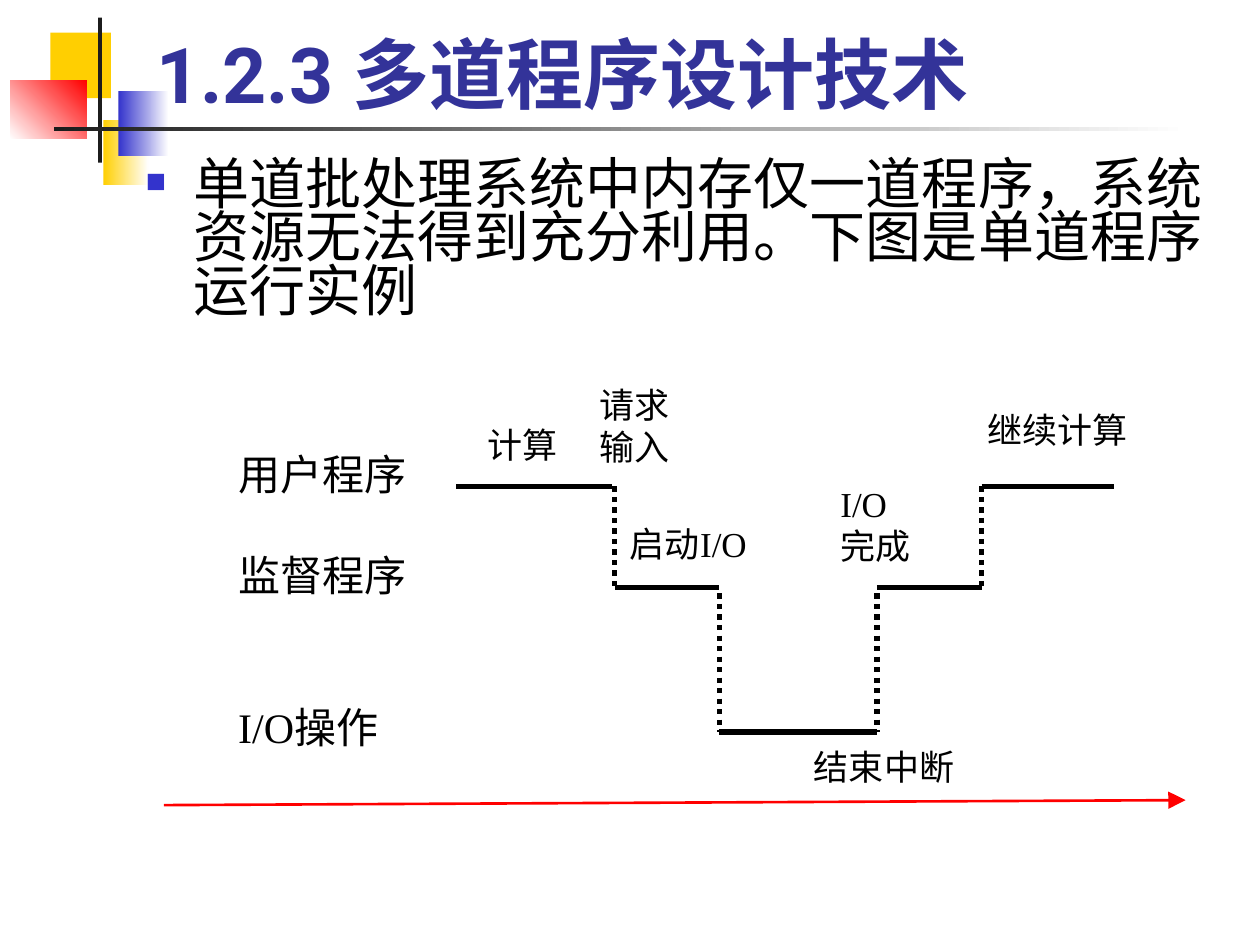
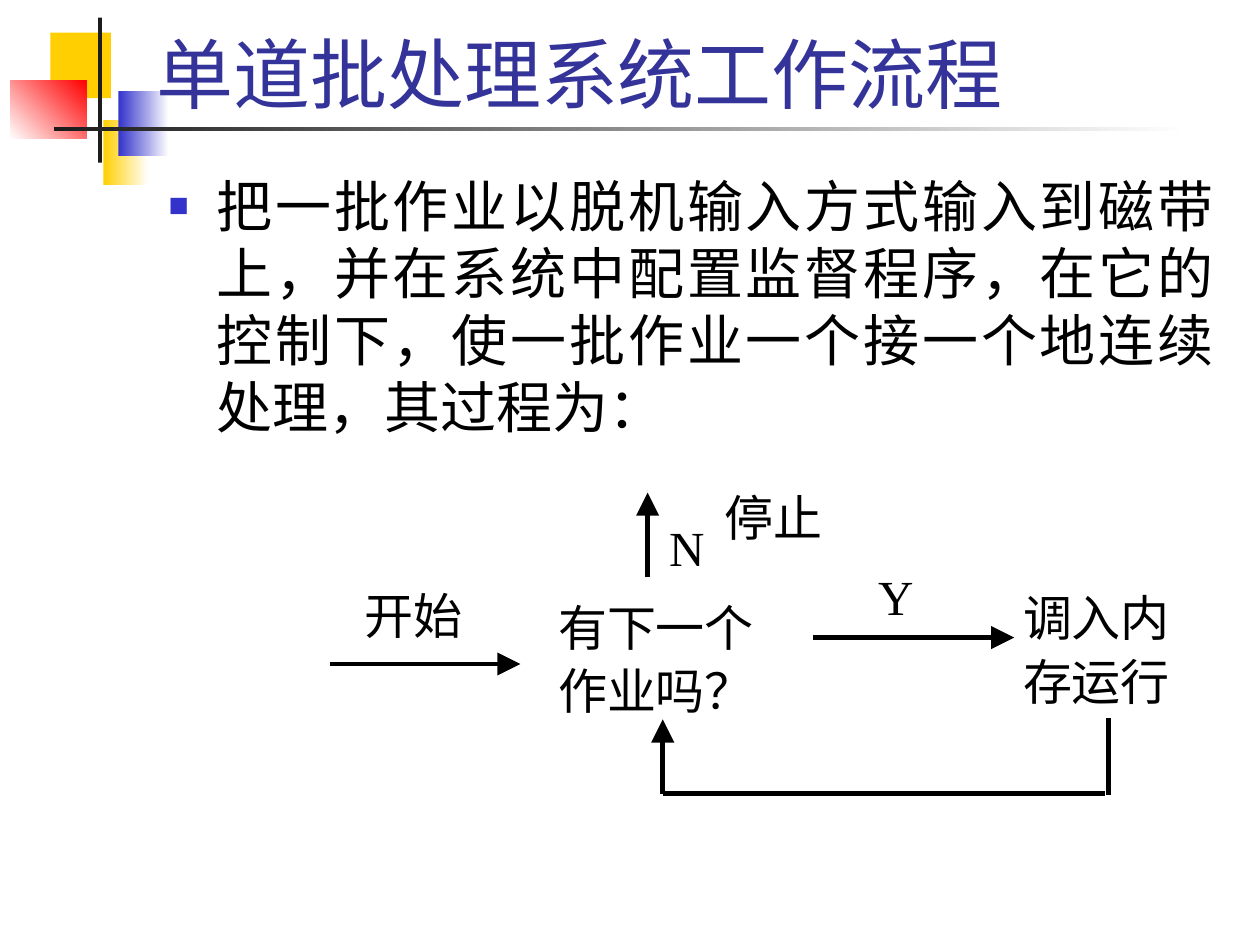
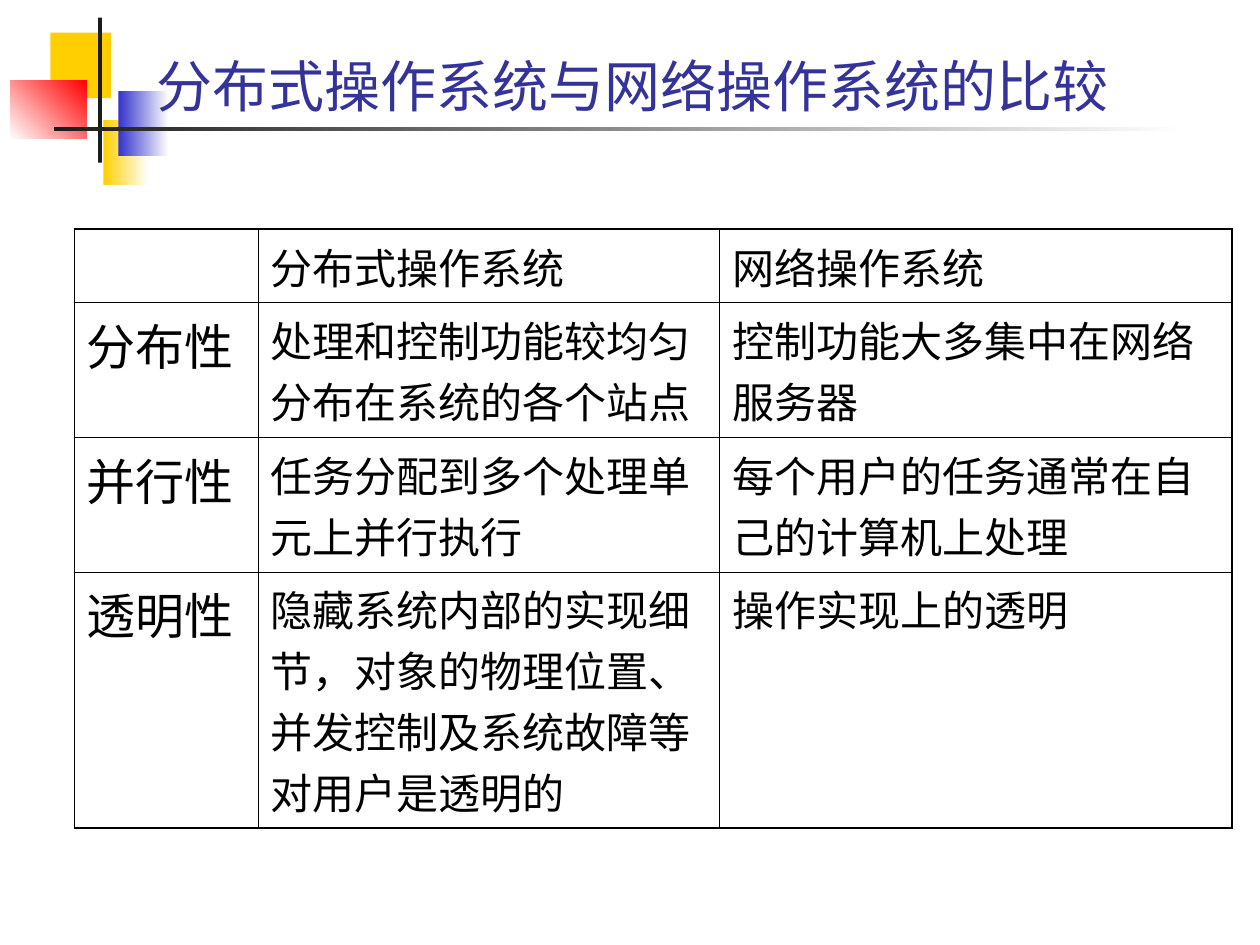
from lxml import etree
from pptx import Presentation
from pptx.dml.color import RGBColor
from pptx.enum import dml, shapes, text
from pptx.oxml import ns
from pptx.util import Inches, Pt

# Shared look
BLACK, WHITE, DARK, RED = "000000", "FFFFFF", "1C1C1C", "FF0000"
YELLOW, BLUE, TITLE_BLUE = "FFCF01", "3333CC", "333399"
ROBOTO, TIMES, NOTO = "Roboto", "Times New Roman", "Noto Sans CJK SC"
LEFT, JUSTIFY = text.PP_ALIGN.LEFT, text.PP_ALIGN.JUSTIFY

# Corner ornament: box, colours, gradient angle
ORNAMENT = [
    ((0.4, 0.26, 0.48, 0.52), [YELLOW], 0),
    ((0.82, 0.95, 0.36, 0.52), [YELLOW, WHITE], 0),
    ((0.94, 0.72, 0.4, 0.52), [BLUE, WHITE], 0),
    ((0.08, 0.64, 0.61, 0.46), [WHITE, RED], 45),
    ((0.78, 0.14, 0.03, 1.15), [DARK], 0),
    ((0.43, 1.01, 9, 0.03), [DARK, WHITE], 0),
]

# Slide 1: single-program timeline
SINGLE_INTRO = "单道批处理系统中内存仅一道程序，系统资源无法得到充分利用。下图是单道程序运行实例"
LEVELS = ["用户程序", "监督程序", "I/O操作"]
LEVEL_GAPS = [0, 29, 58]
TIMELINE_LABELS = [
    ((3.87, 3.36, 0.68, 0.4), ["计算"], TIMES),
    ((5, 4.15, 1.04, 0.37), ["启动I/O"], TIMES),
    ((6.67, 3.83, 0.67, 0.75), ["I/O", "完成"], TIMES),
    ((6.46, 5.92, 1.38, 0.44), ["结束中断"], TIMES),
    ((4.76, 3.04, 0.72, 0.64), ["请求", "输入"], TIMES),
    ((7.84, 3.24, 1.41, 0.42), ["继续计算"], NOTO),
]
USER, MONITOR, IO = 3.86, 4.66, 5.81
RUNS = [(3.62, 4.86, USER), (4.88, 5.71, MONITOR), (5.71, 6.96, IO),
        (6.96, 7.79, MONITOR), (7.79, 8.84, USER)]
SWITCHES = [(4.88, USER, MONITOR), (5.71, 4.71, IO),
            (6.96, 4.71, IO), (7.79, USER, MONITOR)]

# Slide 2: batch flow
BATCH_INTRO = ("把一批作业以脱机输入方式输入到磁带上，并在系统中配置监督程序，"
               "在它的控制下，使一批作业一个接一个地连续处理，其过程为：")
FLOW_LABELS = [
    ((4.43, 4.74, 1.62, 0.47), "有下一个", NOTO),
    ((4.43, 5.24, 1.62, 0.47), "作业吗？", NOTO),
    ((5.31, 4.11, 0.48, 0.47), "N", TIMES),
    ((5.75, 3.87, 0.8, 0.47), "停止", NOTO),
    ((8.12, 4.66, 1.2, 0.47), "调入内", NOTO),
    ((8.12, 5.17, 1.2, 0.47), "存运行", NOTO),
    ((6.97, 4.5, 0.28, 0.47), "Y", TIMES),
    ((2.89, 4.65, 0.8, 0.47), "开始", NOTO),
]
FLOW_LINES = [
    ((5.14, 4.58), (5.14, 3.91), True),
    ((2.62, 5.27), (4.13, 5.27), True),
    ((6.45, 5.06), (8.05, 5.06), True),
    ((8.8, 5.7), (8.8, 6.31), False),
    ((8.77, 6.3), (5.26, 6.3), False),
    ((5.26, 6.3), (5.26, 5.71), True),
]

# Slide 3: comparison table
COMPARISON = [
    ["", "分布式操作系统", "网络操作系统"],
    ["分布性", "处理和控制功能较均匀分布在系统的各个站点", "控制功能大多集中在网络服务器"],
    ["并行性", "任务分配到多个处理单元上并行执行", "每个用户的任务通常在自己的计算机上处理"],
    ["透明性", "隐藏系统内部的实现细节，对象的物理位置、并发控制及系统故障等对用户是透明的",
     "操作实现上的透明"],
]
COLUMN_WIDTHS = [1.46, 3.66, 4.07]
ROW_HEIGHTS = [0.58, 1.07, 1.07, 2.03]


def rgb(color):
    return RGBColor.from_string(color)


def inches(values):
    return [Inches(value) for value in values]


def add_xml(parent, tag, **attributes):
    return etree.SubElement(parent, ns.qn(tag), attributes)


def style(paragraph, size, font, color=BLACK, bold=False, east_asian=ROBOTO):
    paragraph.font.size = Pt(size)
    paragraph.font.bold = bold
    paragraph.font.color.rgb = rgb(color)
    paragraph.font.name = font
    for run in paragraph.runs:
        run.font.name = font
        add_xml(run.font._element, "a:ea", typeface=east_asian)


def add_text(slide, box, lines, size, font, color=BLACK, bold=False, align=LEFT,
             margins=False, wrap=True, gaps=(), anchor=text.MSO_ANCHOR.TOP):
    frame = slide.shapes.add_textbox(*inches(box)).text_frame
    frame.word_wrap = wrap
    frame.vertical_anchor = anchor
    if not margins:
        frame.margin_left = frame.margin_right = 0
        frame.margin_top = frame.margin_bottom = 0
    frame.text = "\n".join(lines)
    for paragraph in frame.paragraphs:
        paragraph.alignment = align
        style(paragraph, size, font, color, bold)
    for paragraph, gap in zip(frame.paragraphs, gaps):
        paragraph.space_before = Pt(gap)
    return frame


def add_bullet_text(slide, box, words, align=LEFT, spacing=1.0):
    frame = add_text(slide, box, [words], 32, ROBOTO, align=align, margins=True)
    paragraph = frame.paragraphs[0]
    paragraph.line_spacing = spacing
    properties = paragraph._p.get_or_add_pPr()
    properties.set("marL", str(Inches(0.38)))
    properties.set("indent", str(-Inches(0.38)))
    bullet = [etree.Element(ns.qn(tag))
              for tag in ("a:buClr", "a:buSzPct", "a:buFont", "a:buChar")]
    add_xml(bullet[0], "a:srgbClr", val=BLUE)
    bullet[1].set("val", "60000")
    bullet[2].set("typeface", TIMES)
    bullet[3].set("char", "■")
    position = properties.index(properties.find(ns.qn("a:defRPr")))
    properties[position:position] = bullet


def add_line(slide, start, end, color=BLACK, width=3.0, dotted=False, arrow=False):
    connector = slide.shapes.add_connector(
        shapes.MSO_CONNECTOR.STRAIGHT, *inches(start + end))
    connector.line.color.rgb = rgb(color)
    connector.line.width = Pt(width)
    if dotted:
        connector.line.dash_style = dml.MSO_LINE.ROUND_DOT
    if arrow:
        add_xml(connector.line._get_or_add_ln(), "a:tailEnd",
                type="triangle", w="lg", len="lg")
    add_xml(connector._element.spPr, "a:effectLst")


def add_slide(presentation, title, size=44, bold=False):
    slide = presentation.slides.add_slide(presentation.slide_layouts[6])
    for box, colors, angle in ORNAMENT:
        shape = slide.shapes.add_shape(shapes.MSO_SHAPE.RECTANGLE, *inches(box))
        shape.shadow.inherit = False
        shape.line.fill.background()
        if len(colors) == 1:
            shape.fill.solid()
            shape.fill.fore_color.rgb = rgb(colors[0])
        else:
            shape.fill.gradient()
            shape.fill.gradient_angle = angle
            for stop, color in zip(shape.fill.gradient_stops, colors):
                stop.color.rgb = rgb(color)
    add_text(slide, (1.14, 0.21, 8.59, 0.78), [title], size, ROBOTO, TITLE_BLUE, bold,
             margins=True, anchor=text.MSO_ANCHOR.BOTTOM)
    return slide


def add_borders(cell, outer_sides):
    properties = cell._tc.get_or_add_tcPr()
    for position, side in enumerate(("L", "R", "T", "B")):
        width = Pt(1.08 if side in outer_sides else 0.45)
        line = etree.Element(ns.qn("a:ln" + side), w=str(width))
        add_xml(add_xml(line, "a:solidFill"), "a:srgbClr", val=BLACK)
        properties.insert(position, line)


def add_timeline_slide(presentation):
    slide = add_slide(presentation, "1.2.3 多道程序设计技术", bold=True)
    add_bullet_text(slide, (1.06, 1.23, 8.64, 1.53), SINGLE_INTRO, spacing=0.8)
    for left, right, level in RUNS:
        add_line(slide, (left, level), (right, level))
    for x, top, bottom in SWITCHES:
        add_line(slide, (x, top), (x, bottom), dotted=True)
    add_text(slide, (1.89, 3.56, 1.42, 2.63), LEVELS, 24, TIMES,
             align=JUSTIFY, gaps=LEVEL_GAPS)
    for box, lines, font in TIMELINE_LABELS:
        add_text(slide, box, lines, 20, font, align=JUSTIFY)
    add_line(slide, (1.3, 6.39), (9.41, 6.35), RED, 1.5, arrow=True)


def add_flow_slide(presentation):
    slide = add_slide(presentation, "单道批处理系统工作流程")
    add_bullet_text(slide, (1.24, 1.31, 8.5, 2.28), BATCH_INTRO, align=JUSTIFY)
    for start, end, arrow in FLOW_LINES:
        add_line(slide, start, end, width=2.64, arrow=arrow)
    for box, words, font in FLOW_LABELS:
        add_text(slide, box, [words], 28, font, wrap=False)


def add_comparison_slide(presentation):
    slide = add_slide(presentation, "分布式操作系统与网络操作系统的比较", size=32)
    box = (0.59, 1.82, sum(COLUMN_WIDTHS), sum(ROW_HEIGHTS))
    table = slide.shapes.add_table(
        len(ROW_HEIGHTS), len(COLUMN_WIDTHS), *inches(box)).table
    table.first_row = table.horz_banding = False
    for column, width in zip(table.columns, COLUMN_WIDTHS):
        column.width = Inches(width)
    for row, height in zip(table.rows, ROW_HEIGHTS):
        row.height = Inches(height)
    last_row, last_column = len(ROW_HEIGHTS) - 1, len(COLUMN_WIDTHS) - 1
    for i, words in enumerate(COMPARISON):
        for j, word in enumerate(words):
            cell = table.cell(i, j)
            cell.text = word
            cell.fill.background()
            size = 28 if i and j == 0 else 24
            style(cell.text_frame.paragraphs[0], size, ROBOTO, east_asian=NOTO)
            edges = {"L": j == 0, "R": j == last_column, "T": i == 0, "B": i == last_row}
            add_borders(cell, [side for side, outer in edges.items() if outer])


def main():
    presentation = Presentation()
    presentation.slide_width, presentation.slide_height = Inches(10), Inches(7.5)
    add_timeline_slide(presentation)
    add_flow_slide(presentation)
    add_comparison_slide(presentation)
    presentation.save("out.pptx")


if __name__ == "__main__":
    main()
